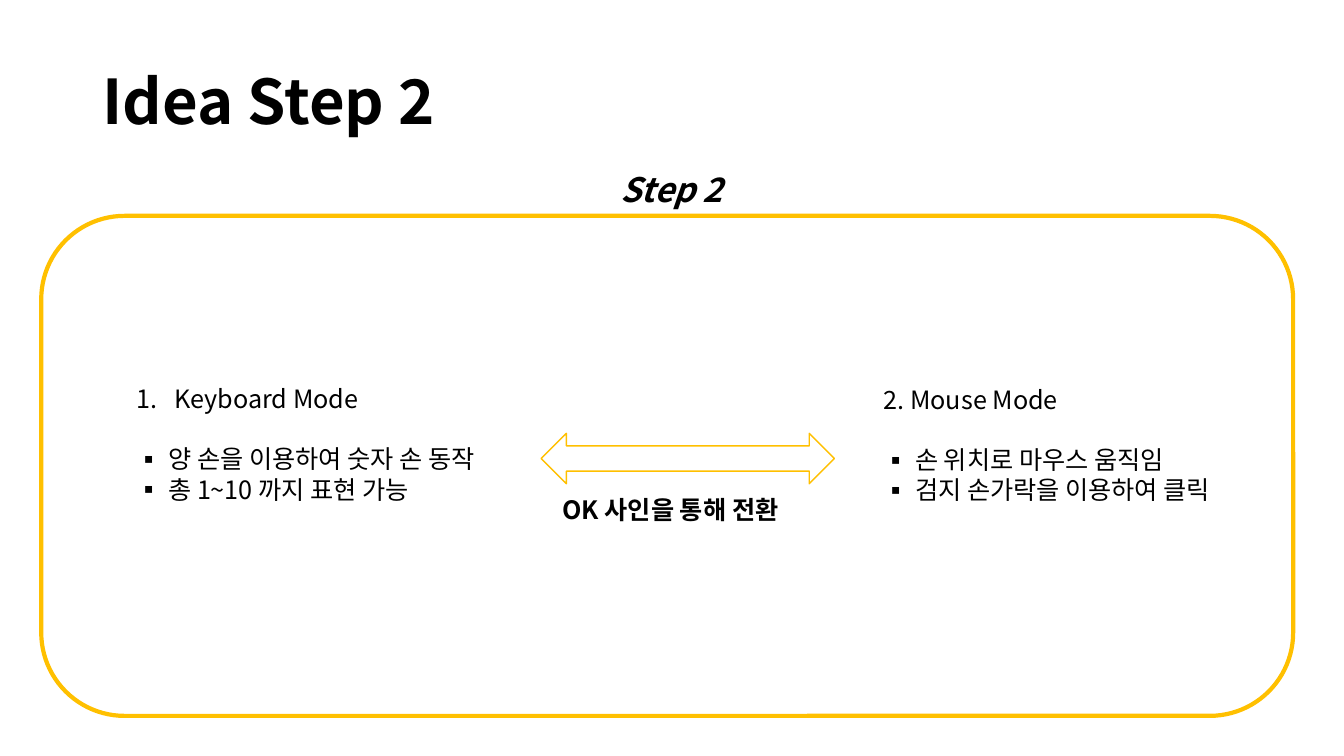
from lxml import etree
from pptx import Presentation
from pptx import util as u
from pptx.dml.color import RGBColor
from pptx.enum import shapes, text
from pptx.oxml import ns

FONT = "Noto Sans CJK KR"
BLACK = RGBColor(0x00, 0x00, 0x00)
AMBER = RGBColor(0xFF, 0xC0, 0x00)
LINE_HEIGHT = 1.2  # line pitch as a multiple of the text size

# Content: each line is (bullet kind, text)
TITLE = "Idea Step 2"
TITLE_BOX = (2.33, 0.79, 29.21, 3.68)
TITLE_FORMAT = {"size": u.Pt(44), "bold": True}
BODY_FORMAT = {"size": u.Pt(18), "bold": False}

TEXT_BOXES = [
    ((15.39, 4.14, 3.1, 1.27), {"size": u.Pt(24), "bold": True, "italic": True},
     [(None, "Step 2")]),
    ((3.2, 9.53, 10.13, 3.33), BODY_FORMAT,
     [("number", "Keyboard Mode"),
      ("square", "양 손을 이용하여 숫자 손 동작"),
      ("square", "총 1~10 까지 표현 가능")]),
    ((22.02, 9.55, 9.91, 3.33), BODY_FORMAT,
     [(None, "2. Mouse Mode"),
      ("square", "손 위치로 마우스 움직임"),
      ("square", "검지 손가락을 이용하여 클릭")]),
    ((13.92, 12.34, 6.83, 1.02), {"size": u.Pt(18), "bold": True},
     [(None, "OK 사인을 통해 전환")]),
]

OUTLINES = [
    (shapes.MSO_SHAPE.ROUNDED_RECTANGLE, (1.04, 5.44, 31.55, 12.6), 3),
    (shapes.MSO_SHAPE.LEFT_RIGHT_ARROW, (13.64, 10.92, 7.39, 1.27), 1),
]

# Bullet kind: (indent in cm, XML elements with their attributes)
BULLETS = {
    "number": (0.95, [("a:buFont", {"typeface": "+mj-lt"}),
                      ("a:buAutoNum", {"type": "arabicPeriod"})]),
    "square": (0.79, [("a:buFont", {"typeface": FONT}),
                      ("a:buChar", {"char": "▪"})]),
}


def lengths(box):
    return [u.Cm(value) for value in box]


def add_text(paragraph, words, font_format):
    run = paragraph.add_run()
    run.text = words
    for name, value in {"name": FONT, **font_format}.items():
        setattr(run.font, name, value)
    run.font.color.rgb = BLACK
    etree.SubElement(run.font._element, ns.qn("a:ea"), typeface=FONT)


def add_bullet(paragraph, kind):
    indent, elements = BULLETS[kind]
    properties = paragraph._p.get_or_add_pPr()
    properties.set("marL", str(u.Cm(indent)))
    properties.set("indent", str(-u.Cm(indent)))
    for tag, attributes in elements:
        etree.SubElement(properties, ns.qn(tag), attributes)


def add_text_box(slide, box, font_format, lines):
    frame = slide.shapes.add_textbox(*lengths(box)).text_frame
    frame.word_wrap = False
    pitch = u.Pt(font_format["size"].pt * LINE_HEIGHT)
    for index, (kind, words) in enumerate(lines):
        paragraph = frame.add_paragraph() if index else frame.paragraphs[0]
        if kind:
            add_bullet(paragraph, kind)
        paragraph.line_spacing = pitch
        if index == 1:  # one line of air below the heading
            paragraph.space_before = pitch
        add_text(paragraph, words, font_format)


def add_outline(slide, kind, box, width):
    shape = slide.shapes.add_shape(kind, *lengths(box))
    shape.shadow.inherit = False
    shape.fill.background()
    shape.line.color.rgb = AMBER
    shape.line.width = u.Pt(width)


def main():
    presentation = Presentation()
    presentation.slide_width, presentation.slide_height = u.Cm(33.87), u.Cm(19.05)
    slide = presentation.slides.add_slide(presentation.slide_layouts[5])

    # Title
    title = slide.shapes.title
    title.left, title.top, title.width, title.height = lengths(TITLE_BOX)
    title.text_frame.vertical_anchor = text.MSO_ANCHOR.MIDDLE
    paragraph = title.text_frame.paragraphs[0]
    paragraph.alignment = text.PP_ALIGN.LEFT
    paragraph.line_spacing = 0.9
    add_text(paragraph, TITLE, TITLE_FORMAT)

    # Frame and switch arrow
    for kind, box, width in OUTLINES:
        add_outline(slide, kind, box, width)

    # Step label, the two modes and the switch caption
    for box, font_format, lines in TEXT_BOXES:
        add_text_box(slide, box, font_format, lines)

    presentation.save("out.pptx")


if __name__ == "__main__":
    main()
